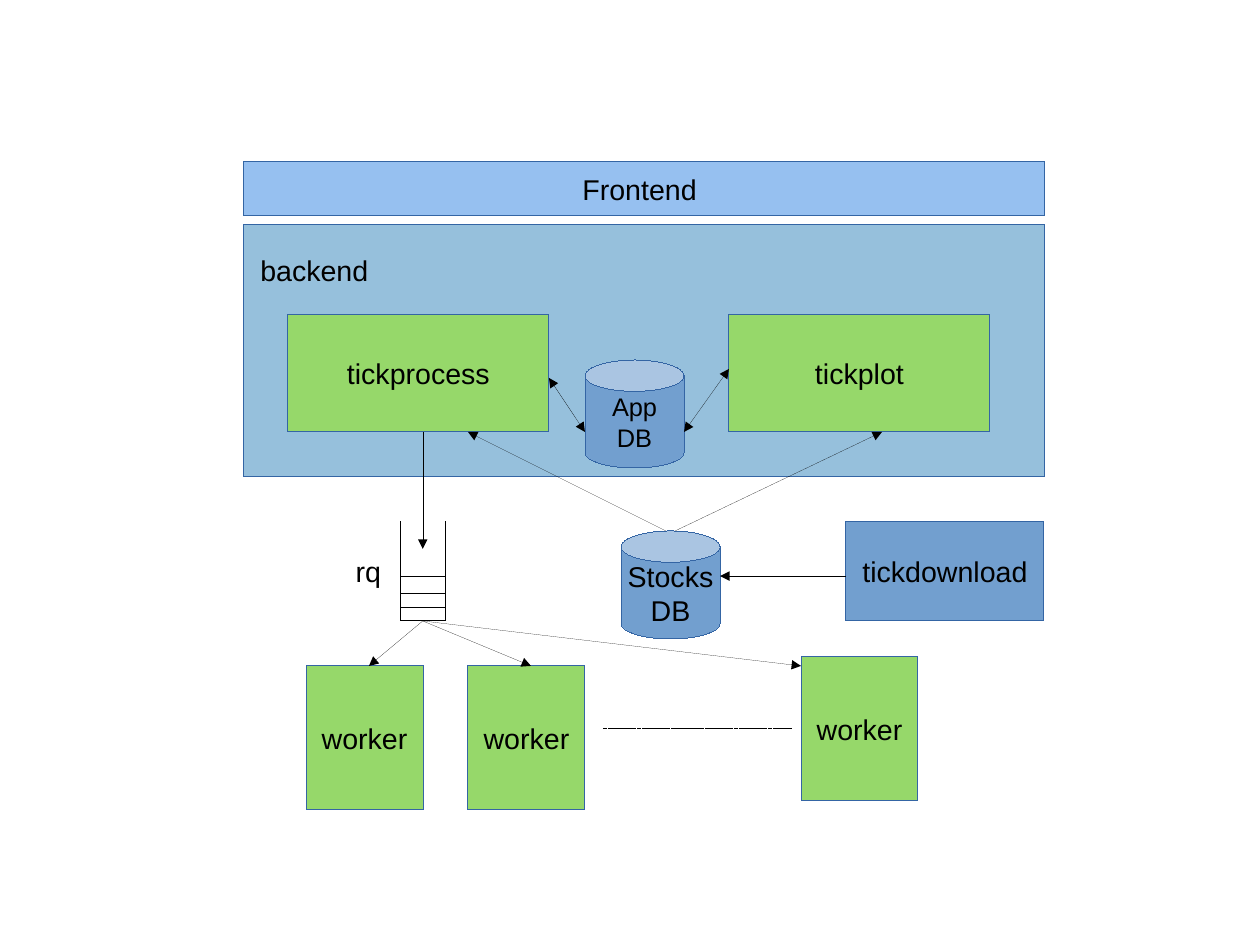
"""Build the stock ticker architecture slide."""
from lxml import etree
from pptx import Presentation
from pptx.dml.color import RGBColor
from pptx.enum.dml import MSO_LINE
from pptx.enum.shapes import MSO_CONNECTOR, MSO_SHAPE
from pptx.enum.text import MSO_ANCHOR, PP_ALIGN
from pptx.oxml.ns import qn
from pptx.util import Pt

RECT, CAN = MSO_SHAPE.RECTANGLE, MSO_SHAPE.CAN
STRAIGHT, DASH = MSO_CONNECTOR.STRAIGHT, MSO_LINE.SQUARE_DOT
MIDDLE, CENTER = MSO_ANCHOR.MIDDLE, PP_ALIGN.CENTER

BLACK, EDGE = "000000", "3465A4"
GREEN, BLUE, SKY, PALE = "96D86A", "729FCF", "96C0F0", "96C0DC"
START, END, BOTH = ("headEnd",), ("tailEnd",), ("headEnd", "tailEnd")
HAIR = Pt(0.01)

BOXES = [
    ("", 153.1, 141.7, 504.6, 158.7, PALE),
    ("Frontend ", 153.1, 102, 504.6, 34, SKY),
    ("worker", 192.8, 419.5, 73.7, 90.7, GREEN),
    ("worker", 294.8, 419.5, 73.7, 90.7, GREEN),
    ("worker", 504.6, 413.9, 73.7, 90.7, GREEN),
    ("tickprocess", 181.4, 198.4, 164.4, 73.7, GREEN),
    ("tickplot", 459.2, 198.4, 164.4, 73.7, GREEN),
    ("tickdownload", 532.9, 328.8, 124.7, 62.4, BLUE),
]
CANS = [
    ("Stocks\nDB", 391.2, 334.5, 18),
    ("App\nDB", 368.5, 226.8, 16),
]
CAN_W, CAN_H, LID = 62.4, 68, 0.316
LABELS = [
    ("backend", 148, 141.7, 100, 56.7),
    ("rq", 207, 343, 50, 34),
]

LEFT, RIGHT, TOP, BASE = 252, 280.6, 328.8, 391.2
SLOTS = [BASE, 382.7, 374.2, 362.9]
MID = (LEFT + RIGHT) / 2
ARROWS = [
    (MID, 272.1, MID, 345.8, END),
    (294.8, 272.1, 419.5, 334.5, START),
    (425.2, 334.5, 555.6, 272.1, END),
    (532.9, 362.9, 453.6, 362.9, END),
    (MID, BASE, 232.4, 419.5, END),
    (MID, BASE, 504.6, 419.5, END),
    (MID, BASE, 334.5, 419.5, END),
    (345.8, 238.1, 368.5, 272.1, BOTH),
    (459.2, 232.4, 430.9, 272.1, BOTH),
]

deck = Presentation()
deck.slide_width, deck.slide_height = Pt(793.7), Pt(595.3)
slide = deck.slides.add_slide(deck.slide_layouts[6])
shapes = slide.shapes


def paint(form, color):
    form.solid()
    form.fore_color.rgb = RGBColor.from_string(color)


def write(shape, text, size=18):
    frame = shape.text_frame
    frame.word_wrap = False
    frame.vertical_anchor = MIDDLE
    for num, line in enumerate(text.split("\n")):
        para = frame.add_paragraph() if num else frame.paragraphs[0]
        para.alignment = CENTER
        run = para.add_run()
        run.text = line
        run.font.name, run.font.size = "Arial", Pt(size)
        paint(run.font.fill, BLACK)


def block(kind, text, x, y, w, h, color, size=18):
    shape = shapes.add_shape(kind, Pt(x), Pt(y), Pt(w), Pt(h))
    shape.shadow.inherit = False
    paint(shape.fill, color)
    paint(shape.line.fill, EDGE)
    shape.line.width = HAIR
    if text:
        write(shape, text, size)
    return shape


def link(x1, y1, x2, y2, heads=()):
    line = shapes.add_connector(STRAIGHT, Pt(x1), Pt(y1), Pt(x2), Pt(y2))
    paint(line.line.fill, BLACK)
    line.line.width = HAIR
    props = line._element.spPr
    for head in heads:
        etree.SubElement(props.find(qn("a:ln")), qn("a:" + head), type="triangle")
    etree.SubElement(props, qn("a:effectLst"))
    return line


for text, x, y, w, h, color in BOXES:
    block(RECT, text, x, y, w, h, color)
for text, x, y, size in CANS:
    can = block(CAN, text, x, y, CAN_W, CAN_H, BLUE, size)
    can.adjustments[0] = LID
for text, x, y, w, h in LABELS:
    write(shapes.add_textbox(Pt(x), Pt(y), Pt(w), Pt(h)), text)

for x in (LEFT, RIGHT):
    link(x, TOP, x, BASE)
for y in SLOTS:
    link(LEFT, y, RIGHT, y)
for arrow in ARROWS:
    link(*arrow)
more = link(380, 459.2, 499, 459.2)
more.line.dash_style = DASH

deck.save("out.pptx")
